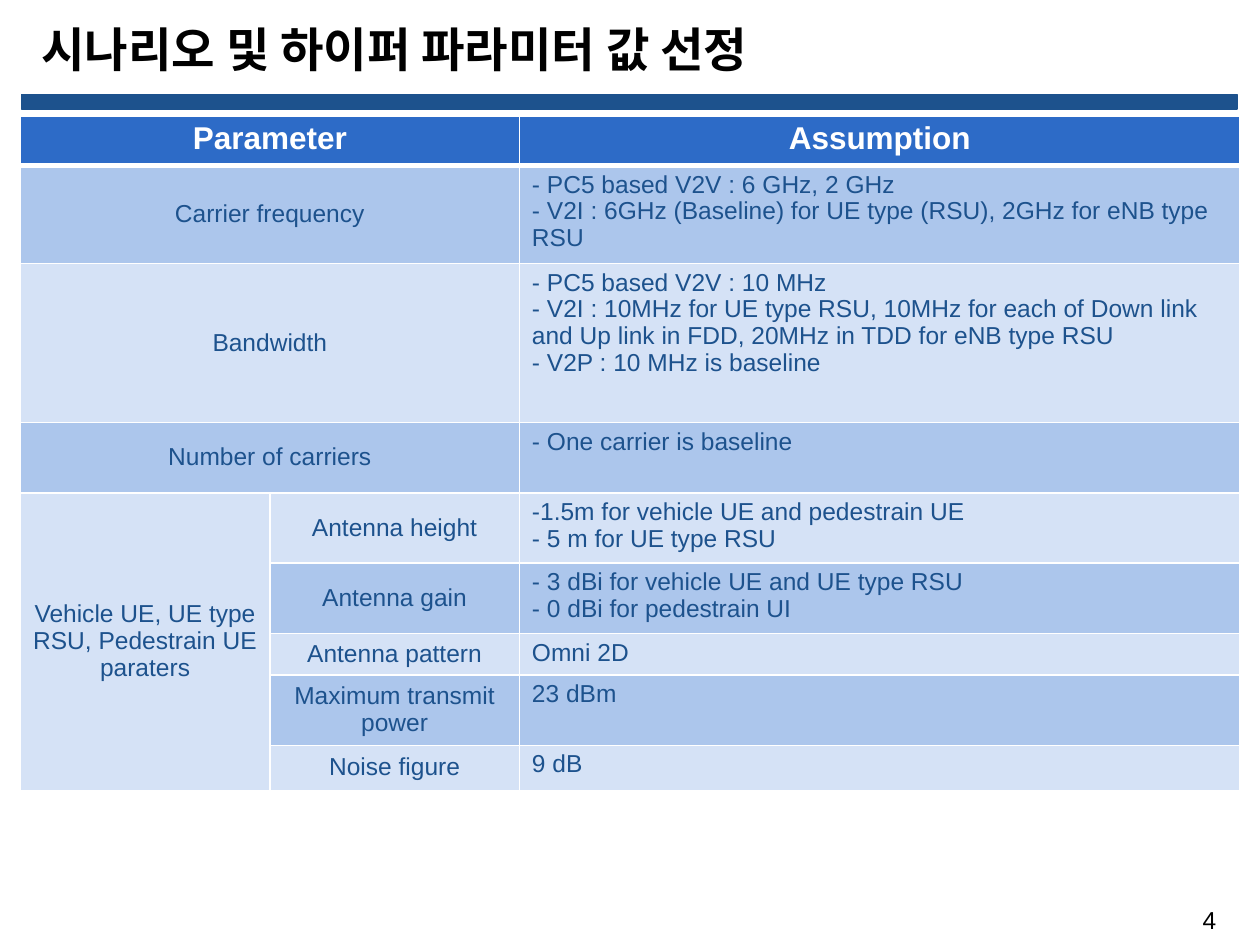
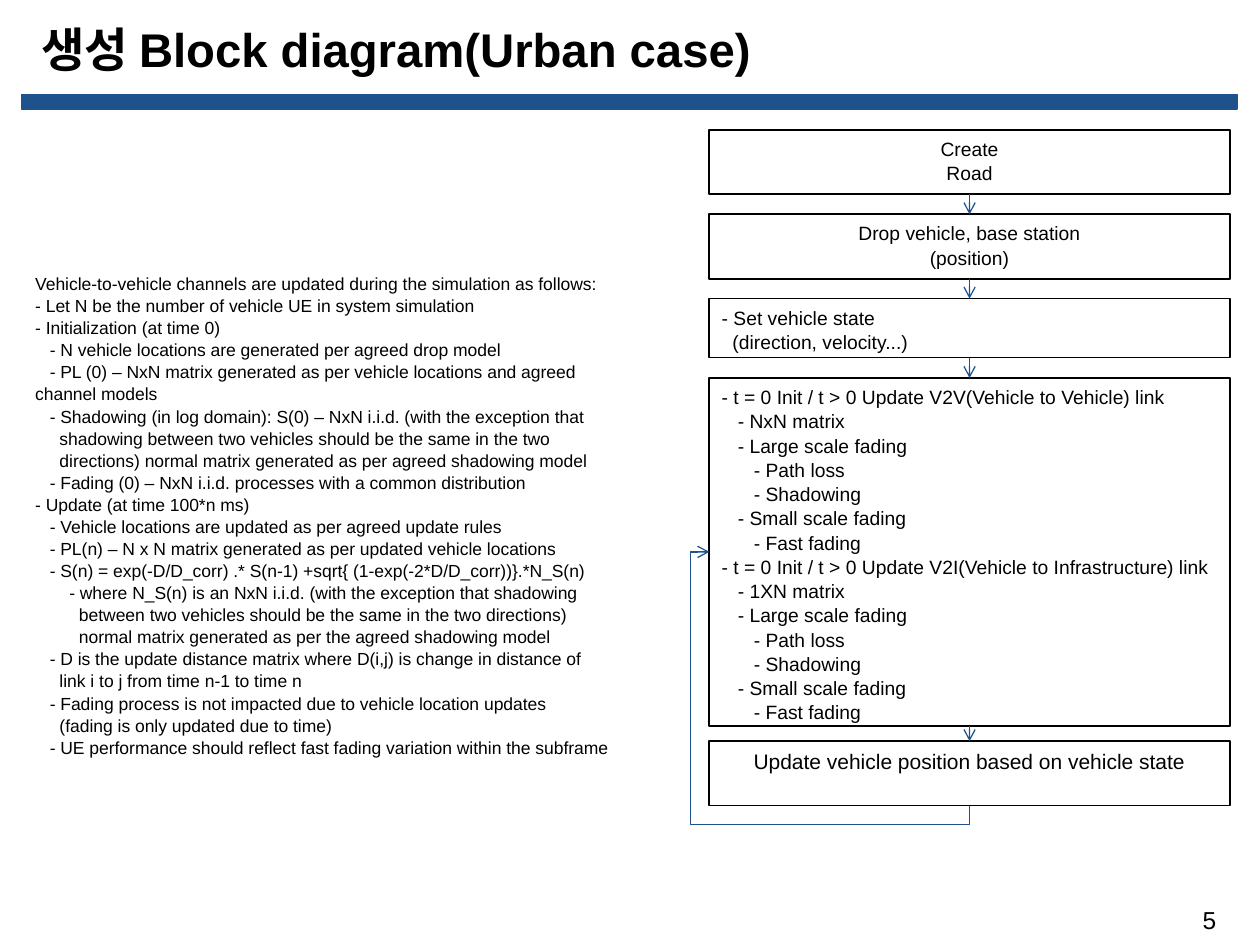
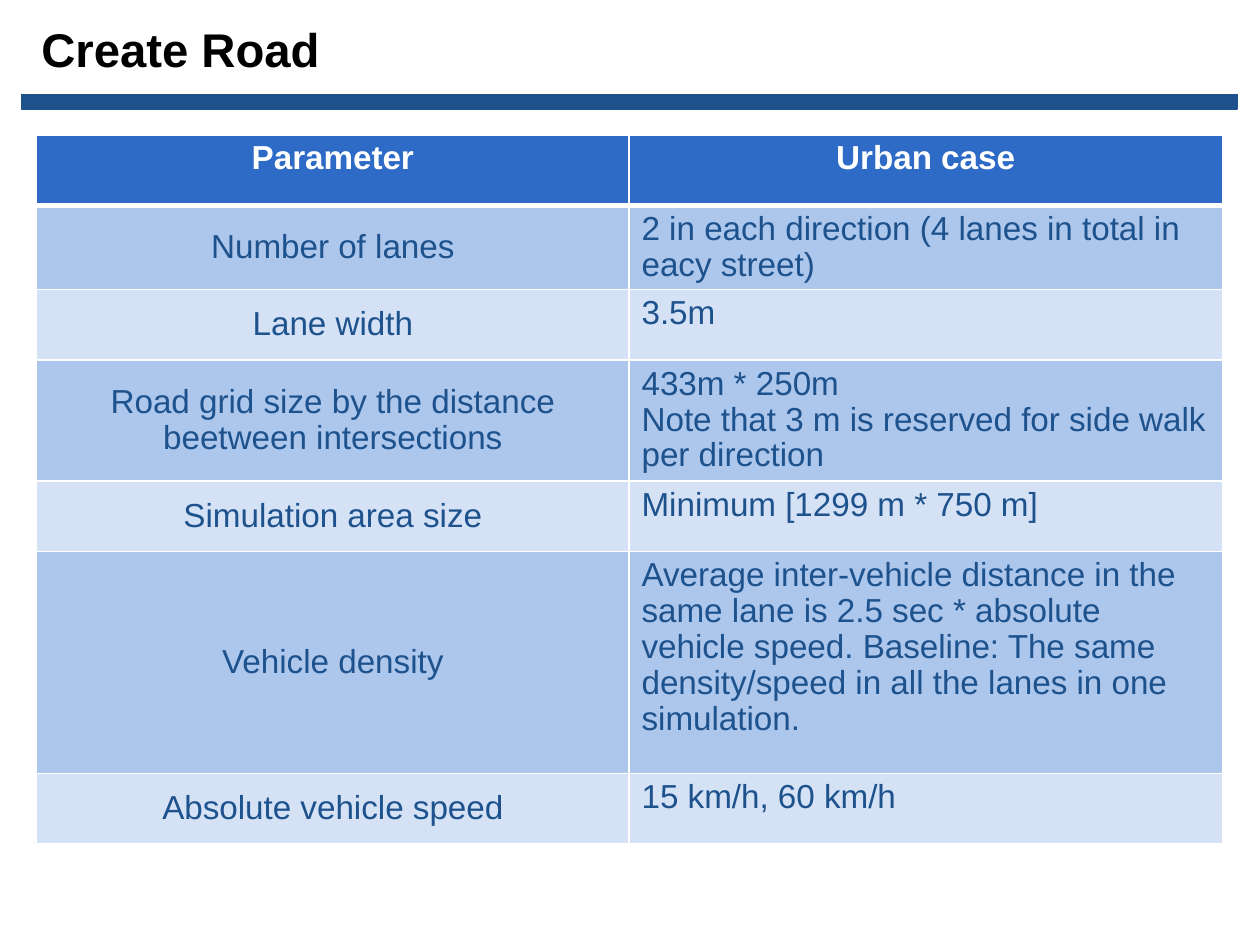
from lxml import etree
from pptx import Presentation
from pptx.dml.color import RGBColor
from pptx.enum.shapes import MSO_CONNECTOR, MSO_SHAPE
from pptx.enum.text import MSO_ANCHOR, PP_ALIGN
from pptx.oxml.ns import qn
from pptx.util import Cm, Pt

LEFT, CENTER, RIGHT = PP_ALIGN.LEFT, PP_ALIGN.CENTER, PP_ALIGN.RIGHT
TOP, MIDDLE = MSO_ANCHOR.TOP, MSO_ANCHOR.MIDDLE
RECT = MSO_SHAPE.RECTANGLE
STRAIGHT, ELBOW = MSO_CONNECTOR.STRAIGHT, MSO_CONNECTOR.ELBOW
BOTTOM_SITE, TOP_SITE = 2, 0

FONT = "Arial"
NAVY, BLUE, BLACK, WHITE = "1D528D", "2D6BC7", "000000", "FFFFFF"
ROW_FILLS = ("ACC6EC", "D5E2F6")
SPACE_WIDTH = 0.278  # width of a space in Arial, in ems
TABLE_SPACING, DIAGRAM_SPACING = 0.97, 1.05


def rgb(color):
    return RGBColor.from_string(color)


def write(tf, lines, size=11, color=BLACK, bold=False, align=LEFT,
          anchor=TOP, spacing=None):
    """Fill a text frame; a line is a string or (first-line indent in spaces, string)."""
    tf.word_wrap = True
    tf.vertical_anchor = anchor
    for i, line in enumerate(lines):
        indent, text = line if isinstance(line, tuple) else (0, line)
        p = tf.paragraphs[0] if i == 0 else tf.add_paragraph()
        p.alignment = align
        if spacing:
            p.line_spacing = spacing
        if indent:
            p._p.get_or_add_pPr().set("indent", str(Pt(indent * SPACE_WIDTH * size)))
        r = p.add_run()
        r.text = text
        r.font.name, r.font.size, r.font.bold = FONT, Pt(size), bold
        r.font.color.rgb = rgb(color)


def set_borders(cell, top=1, bottom=1):
    """Draw white cell borders; call before the cell is filled."""
    tcPr = cell._tc.get_or_add_tcPr()
    for side, width in (("L", 1), ("R", 1), ("T", top), ("B", bottom)):
        ln = etree.SubElement(tcPr, qn(f"a:ln{side}"), w=str(Pt(width)))
        fill = etree.SubElement(ln, qn("a:solidFill"))
        etree.SubElement(fill, qn("a:srgbClr"), val=WHITE)


class Deck:
    def __init__(self):
        self.prs = Presentation()
        self.prs.slide_width, self.prs.slide_height = Cm(25.4), Cm(19.05)
        self.s = None

    def slide(self, title, number=None):
        self.s = self.prs.slides.add_slide(self.prs.slide_layouts[5])
        self.rect(0.43, 1.9, 24.51, 0.3, fill=NAVY, line=NAVY, width=0.75)
        sp = self.s.shapes.title
        sp.left, sp.top, sp.width, sp.height = Cm(0.58), Cm(0.03), Cm(24.13), Cm(1.9)
        write(sp.text_frame, [title], size=27, bold=True, anchor=MIDDLE)
        if number:
            self.text(23.5, 18.11, 1.27, 0.69, [number], size=14, align=RIGHT)

    def rect(self, x, y, w, h, fill=None, line=BLACK, width=1):
        sp = self.s.shapes.add_shape(RECT, Cm(x), Cm(y), Cm(w), Cm(h))
        sp.shadow.inherit = False
        if fill:
            sp.fill.solid()
            sp.fill.fore_color.rgb = rgb(fill)
        else:
            sp.fill.background()
        sp.line.color.rgb = rgb(line)
        sp.line.width = Pt(width)
        return sp

    def text(self, x, y, w, h, lines, **fmt):
        sp = self.s.shapes.add_textbox(Cm(x), Cm(y), Cm(w), Cm(h))
        write(sp.text_frame, lines, **fmt)

    def style_arrow(self, arrow):
        arrow.line.color.rgb = rgb(NAVY)
        arrow.line.width = Pt(0.75)
        etree.SubElement(arrow.line._get_or_add_ln(), qn("a:tailEnd"), type="arrow")
        etree.SubElement(arrow._element.spPr, qn("a:effectLst"))

    def arrow_down(self, upper, lower):
        arrow = self.s.shapes.add_connector(STRAIGHT, 0, 0, 0, 0)
        arrow.begin_connect(upper, BOTTOM_SITE)
        arrow.end_connect(lower, TOP_SITE)
        self.style_arrow(arrow)

    def loop_arrow(self, source, target, clearance):
        """Lead from the bottom of source, around the left, to the left side of target."""
        x1, y1 = source.left + source.width // 2, source.top + source.height
        x2, y2 = target.left, target.top + target.height // 2
        cx, cy = (x1 + x2) // 2, (y1 + y2) // 2
        # The frame is turned by 90 degrees, so its sides swap.
        w, h = y1 - y2, x1 - x2
        arrow = self.s.shapes.add_connector(
            ELBOW, cx + w // 2, cy - h // 2, cx - w // 2, cy + h // 2)
        spPr = arrow._element.spPr
        spPr.find(qn("a:xfrm")).set("rot", "5400000")
        geom = spPr.find(qn("a:prstGeom"))
        geom.set("prst", "bentConnector4")
        guides = geom.find(qn("a:avLst"))
        if guides is None:
            guides = etree.SubElement(geom, qn("a:avLst"))
        for name, ratio in (("adj1", -clearance / w), ("adj2", 1 + clearance / h)):
            etree.SubElement(guides, qn("a:gd"), name=name,
                             fmla=f"val {round(ratio * 100000)}")
        self.style_arrow(arrow)

    def table(self, x, y, widths, heights, rows, head_size, size, merges=()):
        """Lay out rows of cells; a cell is a string, a list of lines or None if merged."""
        frame = self.s.shapes.add_table(len(rows), len(widths), Cm(x), Cm(y),
                                        Cm(sum(widths)), Cm(sum(heights)))
        table = frame.table
        for column, width in zip(table.columns, widths):
            column.width = Cm(width)
        for row, height in zip(table.rows, heights):
            row.height = Cm(height)
        for first, last in merges:
            table.cell(*first).merge(table.cell(*last))
        for i, row in enumerate(rows):
            for j, content in enumerate(row):
                cell = table.cell(i, j)
                set_borders(cell, top=3 if i == 1 else 1, bottom=3 if i == 0 else 1)
                cell.fill.solid()
                cell.fill.fore_color.rgb = rgb(ROW_FILLS[(i - 1) % 2] if i else BLUE)
                if content is None:
                    continue
                lines = [content] if isinstance(content, str) else content
                if i == 0:
                    fmt = dict(size=head_size, color=WHITE, bold=True, align=CENTER)
                elif j < len(widths) - 1:
                    fmt = dict(size=size, color=NAVY, align=CENTER, anchor=MIDDLE)
                else:
                    fmt = dict(size=size, color=NAVY)
                write(cell.text_frame, lines, spacing=TABLE_SPACING, **fmt)
                cell.vertical_anchor = fmt.get("anchor", TOP)


def add_parameter_slide(deck):
    deck.slide("시나리오 및 하이퍼 파라미터 값 선정", "4")
    rows = [
        ("Parameter", None, "Assumption"),
        ("Carrier frequency", None, [
            "- PC5 based V2V : 6 GHz, 2 GHz",
            "- V2I : 6GHz (Baseline) for UE type (RSU), 2GHz for eNB type RSU"]),
        ("Bandwidth", None, [
            "- PC5 based V2V : 10 MHz",
            "- V2I : 10MHz for UE type RSU, 10MHz for each of Down link and Up link "
            "in FDD, 20MHz in TDD for eNB type RSU",
            "- V2P : 10 MHz is baseline"]),
        ("Number of carriers", None, "- One carrier is baseline"),
        ("Vehicle UE, UE type RSU, Pedestrain UE paraters", "Antenna height", [
            "-1.5m for vehicle UE and pedestrain UE",
            "- 5 m for UE type RSU"]),
        (None, "Antenna gain", [
            "- 3 dBi for vehicle UE and UE type RSU",
            "- 0 dBi for pedestrain UI"]),
        (None, "Antenna pattern", "Omni 2D"),
        (None, "Maximum transmit power", "23 dBm"),
        (None, "Noise figure", "9 dB"),
    ]
    merges = [((i, 0), (i, 1)) for i in range(4)] + [((4, 0), (8, 0))]
    deck.table(0.41, 2.34, (5.03, 5.03, 14.53),
               (0.81, 1.8, 3.2, 1.42, 1.42, 1.42, 0.81, 1.42, 0.91),
               rows, head_size=18, size=14, merges=merges)


def add_diagram_slide(deck):
    deck.slide("생성 Block diagram(Urban case)", "5")
    fading = [
        (3, "- Large scale fading"),
        (6, "- Path loss"),
        (6, "- Shadowing"),
        (3, "- Small scale fading"),
        (6, "- Fast fading"),
    ]
    link_update = [
        "- t = 0 Init / t > 0 Update V2V(Vehicle to Vehicle) link",
        (3, "- NxN matrix"), *fading,
        "- t = 0 Init / t > 0 Update V2I(Vehicle to Infrastructure) link",
        (3, "- 1XN matrix"), *fading,
    ]
    steps = [  # top, height, lines, alignment, size
        (2.62, 1.3, ["Create", "Road"], CENTER, 11),
        (4.32, 1.3, ["Drop vehicle, base station", "(position)"], CENTER, 11),
        (6.02, 1.19, ["- Set vehicle state", (2, "(direction, velocity...)")], LEFT, 11),
        (7.62, 7.01, link_update, LEFT, 11),
        (14.94, 1.3, ["Update vehicle position based on vehicle state"], CENTER, 12),
    ]
    boxes = []
    for top, height, lines, align, size in steps:
        box = deck.rect(14.3, top, 10.49, height)
        write(box.text_frame, lines, size=size, align=align, spacing=DIAGRAM_SPACING)
        boxes.append(box)
    for upper, lower in zip(boxes, boxes[1:]):
        deck.arrow_down(upper, lower)
    deck.loop_arrow(boxes[4], boxes[3], Cm(0.38))

    channel_update = [
        "Vehicle-to-vehicle channels are updated during the simulation as follows:",
        "- Let N be the number of vehicle UE in system simulation",
        "- Initialization (at time 0)",
        (3, "- N vehicle locations are generated per agreed drop model"),
        (3, "- PL (0) – NxN matrix generated as per vehicle locations and agreed "
            "channel models"),
        (3, "- Shadowing (in log domain): S(0) – NxN i.i.d. (with the exception that"),
        (5, "shadowing between two vehicles should be the same in the two"),
        (5, "directions) normal matrix generated as per agreed shadowing model"),
        (3, "- Fading (0) – NxN i.i.d. processes with a common distribution"),
        "- Update (at time 100*n ms)",
        (3, "- Vehicle locations are updated as per agreed update rules"),
        (3, "- PL(n) – N x N matrix generated as per updated vehicle locations"),
        (3, "- S(n) = exp(-D/D_corr) .* S(n-1) +sqrt{ (1-exp(-2*D/D_corr))}.*N_S(n)"),
        (7, "- where N_S(n) is an NxN i.i.d. (with the exception that shadowing"),
        (9, "between two vehicles should be the same in the two directions)"),
        (9, "normal matrix generated as per the agreed shadowing model"),
        (3, "- D is the update distance matrix where D(i,j) is change in distance of"),
        (5, "link i to j from time n-1 to time n"),
        (3, "- Fading process is not impacted due to vehicle location updates"),
        (5, "(fading is only updated due to time)"),
        (3, "- UE performance should reflect fast fading variation within the subframe"),
    ]
    deck.text(0.46, 5.36, 12.24, 9.55, channel_update, size=10, spacing=DIAGRAM_SPACING)


def add_road_slide(deck):
    deck.slide("Create Road")
    rows = [
        ("Parameter", "Urban case"),
        ("Number of lanes", "2 in each direction (4 lanes in total in eacy street)"),
        ("Lane width", "3.5m"),
        ("Road grid size by the distance beetween intersections", [
            "433m * 250m",
            "Note that 3 m is reserved for side walk per direction"]),
        ("Simulation area size", "Minimum [1299 m * 750 m]"),
        ("Vehicle density",
         "Average inter-vehicle distance in the same lane is 2.5 sec * absolute vehicle "
         "speed. Baseline: The same density/speed in all the lanes in one simulation."),
        ("Absolute vehicle speed", "15 km/h, 60 km/h"),
    ]
    deck.table(0.74, 2.72, (11.94, 11.96), (1.42, 1.42, 1.42, 2.44, 1.42, 4.47, 1.42),
               rows, head_size=19, size=19)


def main():
    deck = Deck()
    add_parameter_slide(deck)
    add_diagram_slide(deck)
    add_road_slide(deck)
    deck.prs.save("out.pptx")


if __name__ == "__main__":
    main()
